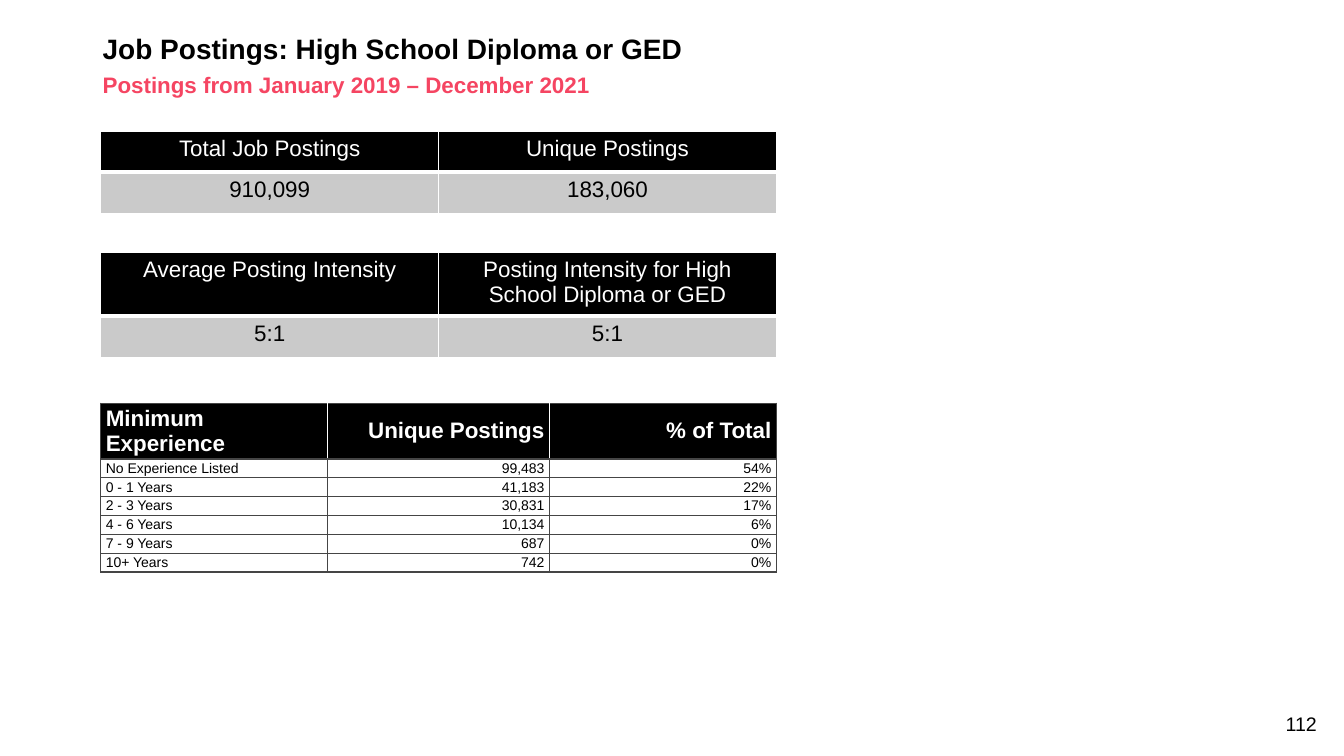
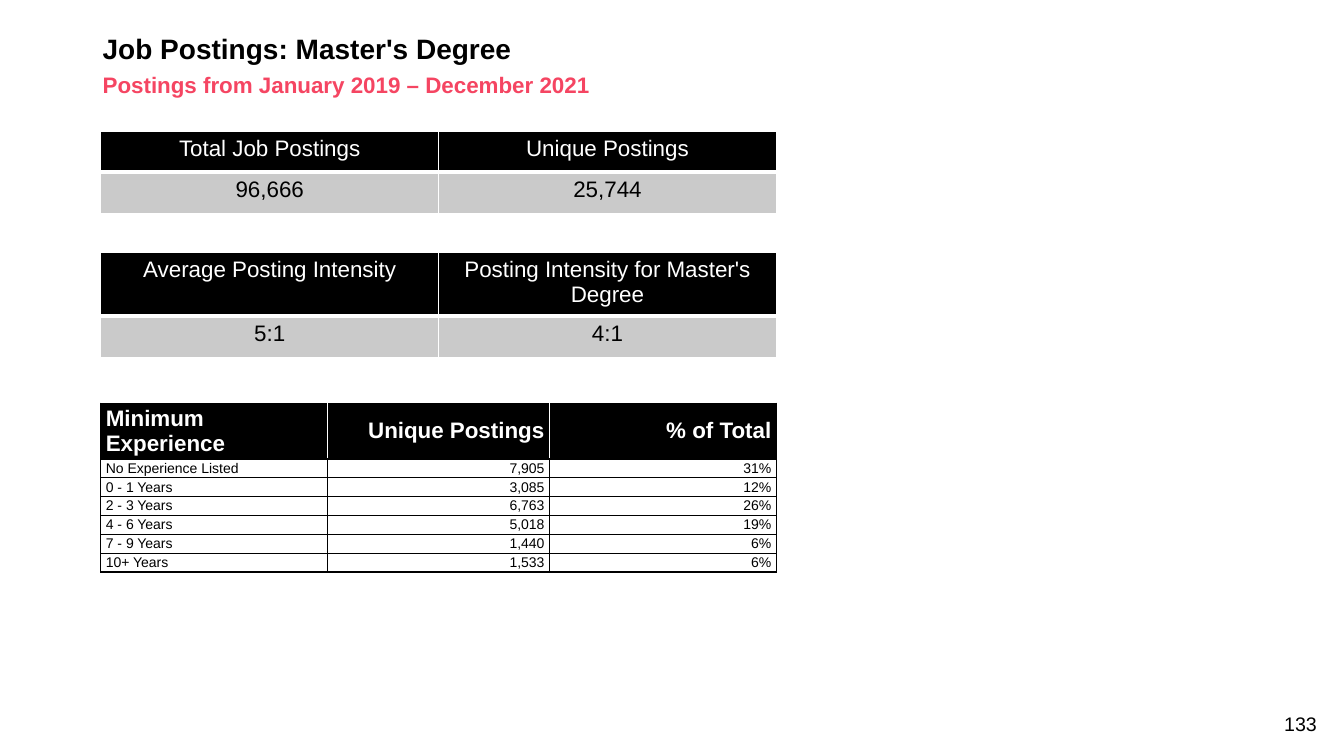
from lxml.etree import SubElement
from pptx import Presentation
from pptx.dml.color import RGBColor
from pptx.enum.text import MSO_ANCHOR as ANCHOR, PP_ALIGN as ALIGN
from pptx.oxml.ns import qn
from pptx.util import Inches, Pt

COLORS = {"black": "000000", "white": "FFFFFF", "pink": "F54562",
          "gray": "CACACA", "rule": "454545"}
FONT = "Arial"
SUBTITLE = "Postings from January 2019 – December 2021"
EXPERIENCE = ["No Experience Listed", "0 - 1 Years", "2 - 3 Years",
              "4 - 6 Years", "7 - 9 Years", "10+ Years"]
LEFT = 1
STAT_COLS = [3.35, 3.35]
EXPERIENCE_COLS = [2.25, 2.2, 2.25]

SLIDES = [
    {"level": "High School Diploma or GED", "page": "112", "rule": "rule",
     "totals": ["910,099", "183,060"], "intensity": ["5:1", "5:1"],
     "unique": ["99,483", "41,183", "30,831", "10,134", "687", "742"],
     "share": ["54%", "22%", "17%", "6%", "0%", "0%"]},
    {"level": "Master's Degree", "page": "133", "rule": "black",
     "totals": ["96,666", "25,744"], "intensity": ["5:1", "4:1"],
     "unique": ["7,905", "3,085", "6,763", "5,018", "1,440", "1,533"],
     "share": ["31%", "12%", "26%", "19%", "6%", "6%"]},
]


def style_text(tf, text, size, color, bold=False, align=ALIGN.LEFT):
    """Write one paragraph and format its run."""
    tf.text = text
    p = tf.paragraphs[0]
    p.alignment = align
    font = p.runs[0].font
    font.name, font.size, font.bold = FONT, Pt(size), bold
    font.color.rgb = RGBColor.from_string(COLORS[color])
    return p


def add_text(s, box, text, size, color, bold=False, align=ALIGN.LEFT,
             anchor=ANCHOR.MIDDLE, spacing=1.0):
    """Add a wrapped single-paragraph text box."""
    tf = s.shapes.add_textbox(*map(Inches, box)).text_frame
    tf.word_wrap = True
    tf.vertical_anchor = anchor
    style_text(tf, text, size, color, bold, align).line_spacing = spacing


def set_borders(cell, **sides):
    """Draw the cell borders, given as side=(color, points)."""
    tcPr = cell._tc.get_or_add_tcPr()
    for side in "LRTB":
        color, width = sides[side]
        ln = SubElement(tcPr, qn(f"a:ln{side}"), w=str(Pt(width)))
        fill = SubElement(ln, qn("a:solidFill"))
        SubElement(fill, qn("a:srgbClr"), val=COLORS[color])


def style_cell(cell, fill, margins, anchor):
    """Set the fill, margins and anchor of a cell."""
    if fill:
        cell.fill.solid()
        cell.fill.fore_color.rgb = RGBColor.from_string(COLORS[fill])
    else:
        cell.fill.background()
    cell.margin_left = cell.margin_right = Inches(margins[0])
    cell.margin_top = cell.margin_bottom = Inches(margins[1])
    cell.vertical_anchor = anchor


def add_grid(s, left, top, cols, rows):
    """Add an unbanded table with the given column widths and row heights."""
    table = s.shapes.add_table(
        len(rows), len(cols), Inches(left), Inches(top),
        Inches(sum(cols)), Inches(sum(rows))).table
    table.first_row = table.horz_banding = False
    for column, width in zip(table.columns, cols):
        column.width = Inches(width)
    for row, height in zip(table.rows, rows):
        row.height = Inches(height)
    return table


def add_stats(s, left, top, labels, values, head_height):
    """Add a two-row table of labels over values."""
    table = add_grid(s, left, top, STAT_COLS, [head_height, 0.41])
    thin, thick = ("white", 1), ("white", 3)
    for i, texts in enumerate([labels, values]):
        head = i == 0
        for j, text in enumerate(texts):
            cell = table.cell(i, j)
            set_borders(cell, L=thin, R=thin, T=thin if head else thick,
                        B=thick if head else thin)
            style_cell(cell, "black" if head else "gray", (0.1, 0.05), ANCHOR.TOP)
            style_text(cell.text_frame, text, 16, "white" if head else "black",
                       align=ALIGN.CENTER)


def add_experience(s, left, top, unique, share, rule):
    """Add the table of postings by minimum experience."""
    data = [("Minimum Experience", "Unique Postings", "% of Total"),
            *zip(EXPERIENCE, unique, share)]
    table = add_grid(s, left, top, EXPERIENCE_COLS,
                     [0.51] + [0.18] * len(EXPERIENCE))
    line, divider = (rule, 1), ("white", 1)
    last = len(EXPERIENCE_COLS) - 1
    for i, texts in enumerate(data):
        head = i == 0
        for j, text in enumerate(texts):
            cell = table.cell(i, j)
            set_borders(cell, T=line, B=line,
                        L=divider if head and j > 0 else line,
                        R=divider if head and j < last else line)
            style_cell(cell, "black" if head else None, (0.05, 0.01), ANCHOR.MIDDLE)
            style_text(cell.text_frame, text, 16 if head else 10,
                       "white" if head else "black", head,
                       ALIGN.RIGHT if j else ALIGN.LEFT)


def add_frame(s, title, page):
    """Add the title, subtitle and page number."""
    add_text(s, (0.92, 0.3, 11.5, 0.4), title, 20, "black", True, spacing=0.9)
    add_text(s, (0.92, 0.71, 11.5, 0.3), SUBTITLE, 16, "pink", True, spacing=0.9)
    add_text(s, (12.36, 7.01, 0.8, 0.34), page, 14, "black",
             align=ALIGN.RIGHT, anchor=ANCHOR.BOTTOM)


def add_postings_slide(prs, level, page, rule, totals, intensity, unique, share):
    """Add the job postings slide for one education level."""
    s = prs.slides.add_slide(prs.slide_layouts[6])
    add_frame(s, f"Job Postings: {level}", page)
    add_stats(s, LEFT, 1.3, ["Total Job Postings", "Unique Postings"], totals, 0.41)
    add_stats(s, LEFT, 2.5, ["Average Posting Intensity",
                             f"Posting Intensity for {level}"], intensity, 0.59)
    add_experience(s, LEFT, 4, unique, share, rule)


def main():
    """Build and save the presentation."""
    prs = Presentation()
    prs.slide_width, prs.slide_height = Inches(13.33), Inches(7.5)
    for slide in SLIDES:
        add_postings_slide(prs, **slide)
    prs.save("out.pptx")


if __name__ == "__main__":
    main()
